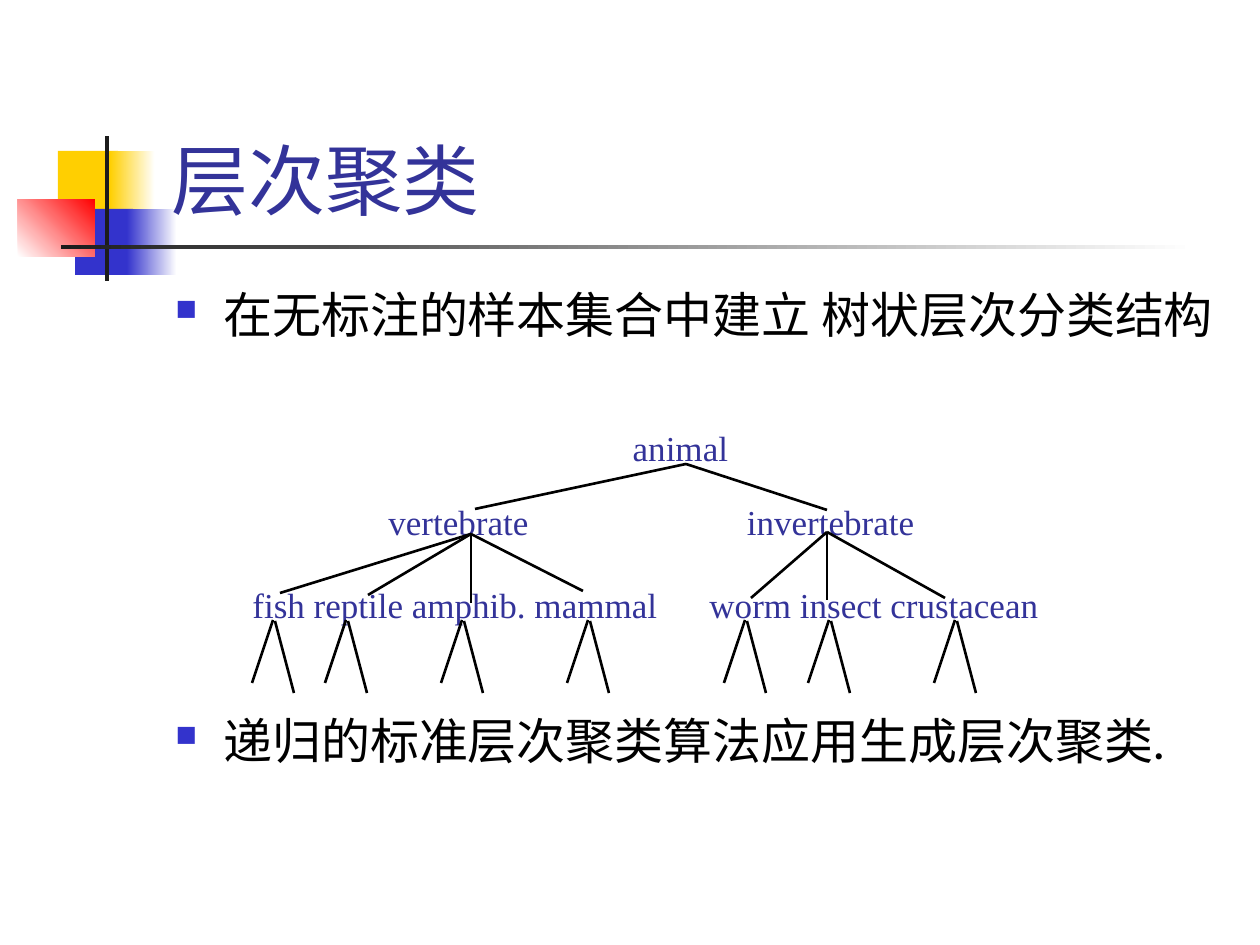
from lxml.etree import SubElement
from pptx import Presentation
from pptx.dml.color import RGBColor as RGB
from pptx.enum.shapes import MSO_CONNECTOR as LINE, MSO_SHAPE as SHAPE
from pptx.enum.text import MSO_ANCHOR as ANCHOR, PP_ALIGN as ALIGN
from pptx.oxml.ns import qn
from pptx.util import Emu, Pt

SCALE = 914400 / 126
YELLOW = RGB(0xFF, 0xCF, 0x01)
BLUE = RGB(0x33, 0x33, 0xCC)
RED = RGB(0xFF, 0x00, 0x00)
DARK = RGB(0x1C, 0x1C, 0x1C)
NAVY = RGB(0x33, 0x33, 0x99)
BLACK = RGB(0x00, 0x00, 0x00)
WHITE = RGB(0xFF, 0xFF, 0xFF)


def px(n):
    return Emu(round(n * SCALE))


def add_rect(slide, x, y, w, h, start, end=None, angle=0):
    """Add a borderless rectangle, with a gradient when end is given."""
    rect = slide.shapes.add_shape(SHAPE.RECTANGLE, px(x), px(y), px(w), px(h))
    rect.shadow.inherit = False
    rect.line.fill.background()
    if end is None:
        rect.fill.solid()
        rect.fill.fore_color.rgb = start
        return
    rect.fill.gradient()
    rect.fill.gradient_angle = angle
    for stop, color, pos in zip(rect.fill.gradient_stops, (start, end), (0, 1)):
        stop.color.rgb = color
        stop.position = pos


def add_frame(slide, x, y, w, h, wrap=True):
    frame = slide.shapes.add_textbox(px(x), px(y), px(w), px(h)).text_frame
    frame.word_wrap = wrap
    return frame


def add_run(para, text, size, color, face="Lato"):
    run = para.add_run()
    run.text = text
    run.font.size = Pt(size)
    run.font.name = face
    run.font.color.rgb = color


def add_line(slide, x1, y1, x2, y2):
    line = slide.shapes.add_connector(LINE.STRAIGHT, px(x1), px(y1), px(x2), px(y2))
    line.line.color.rgb = BLACK
    line.line.width = Pt(1.5)
    SubElement(line._element.spPr, qn("a:effectLst"))


def add_bullet(para):
    props = para._p.get_or_add_pPr()
    props.set("marL", str(px(48)))
    props.set("indent", str(-px(48)))
    SubElement(SubElement(props, qn("a:buClr")), qn("a:srgbClr"), val=str(BLUE))
    SubElement(props, qn("a:buSzPct"), val="60000")
    SubElement(props, qn("a:buChar"), char="■")


def draw_motif(slide, x, y):
    """Draw the coloured blocks, the upright bar and the title rule."""
    for dx, dy, solid, fade, color in ((40, 15, 60, 45, YELLOW), (57, 73, 58, 50, BLUE)):
        add_rect(slide, x + dx, y + dy, solid, 66, color)
        add_rect(slide, x + dx + 52, y + dy, fade, 66, color, WHITE)
    add_rect(slide, x, y + 63, 77, 58, WHITE, RED, 45)
    add_rect(slide, x + 87, y, 4, 145, DARK)
    add_rect(slide, x + 43, y + 109, 1134, 4, DARK, WHITE)


def draw_title(slide, x, y, w, h, text):
    frame = add_frame(slide, x, y, w, h)
    frame.vertical_anchor = ANCHOR.BOTTOM
    add_run(frame.paragraphs[0], text, 44, NAVY)


def draw_body(slide, x, y, w, h, items):
    """Place the bullets; each item is its text and the space before it."""
    frame = add_frame(slide, x, y, w, h)
    for i, (text, gap) in enumerate(items):
        para = frame.add_paragraph() if i else frame.paragraphs[0]
        para.space_before = Pt(gap)
        add_bullet(para)
        add_run(para, text, 28, BLACK)


def draw_tree(slide, x, y):
    labels = (
        ("animal", 346, 0, 189),
        ("vertebrate", 136, 74, 165),
        ("invertebrate", 494, 74, 193),
        ("fish reptile amphib. mammal", 0, 157, 430),
        ("worm insect crustacean", 457, 157, 354),
    )
    for text, dx, dy, w in labels:
        para = add_frame(slide, x + dx, y + dy, w, 55, False).paragraphs[0]
        para.alignment = ALIGN.CENTER
        add_run(para, text, 20, NAVY, "Times New Roman")

    forks = (
        (446, 44, ((235, 89), (587, 90))),
        (231, 114, ((40, 173), (128, 175), (231, 183), (343, 171))),
        (587, 112, ((511, 178), (587, 180), (705, 178))),
    )
    for dx, dy, ends in forks:
        for ex, ey in ends:
            add_line(slide, x + dx, y + dy, x + ex, y + ey)

    for dx in (33, 106, 222, 348, 505, 589, 715):
        add_line(slide, x + dx, y + 200, x + dx - 21, y + 263)
        add_line(slide, x + dx + 2, y + 201, x + dx + 21, y + 273)


def main():
    deck = Presentation()
    deck.slide_width, deck.slide_height = px(1260), px(945)
    slide = deck.slides.add_slide(deck.slide_layouts[6])
    draw_motif(slide, 18, 136)
    draw_title(slide, 159, 29, 1074, 202, "层次聚类")
    draw_body(slide, 163, 278, 1071, 567, (
        ("在无标注的样本集合中建立 树状层次分类结构", 7),
        ("递归的标准层次聚类算法应用生成层次聚类.", 210),
    ))
    draw_tree(slide, 240, 420)
    deck.save("out.pptx")


if __name__ == "__main__":
    main()
